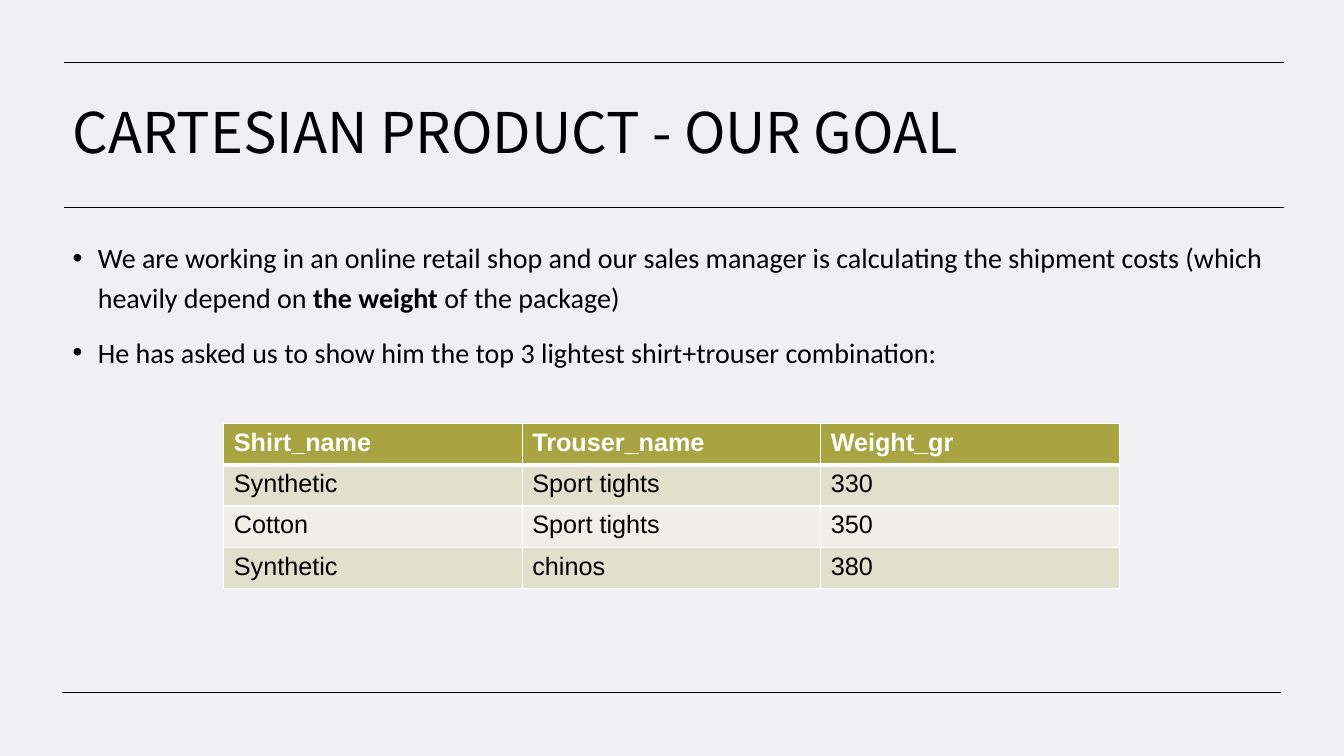
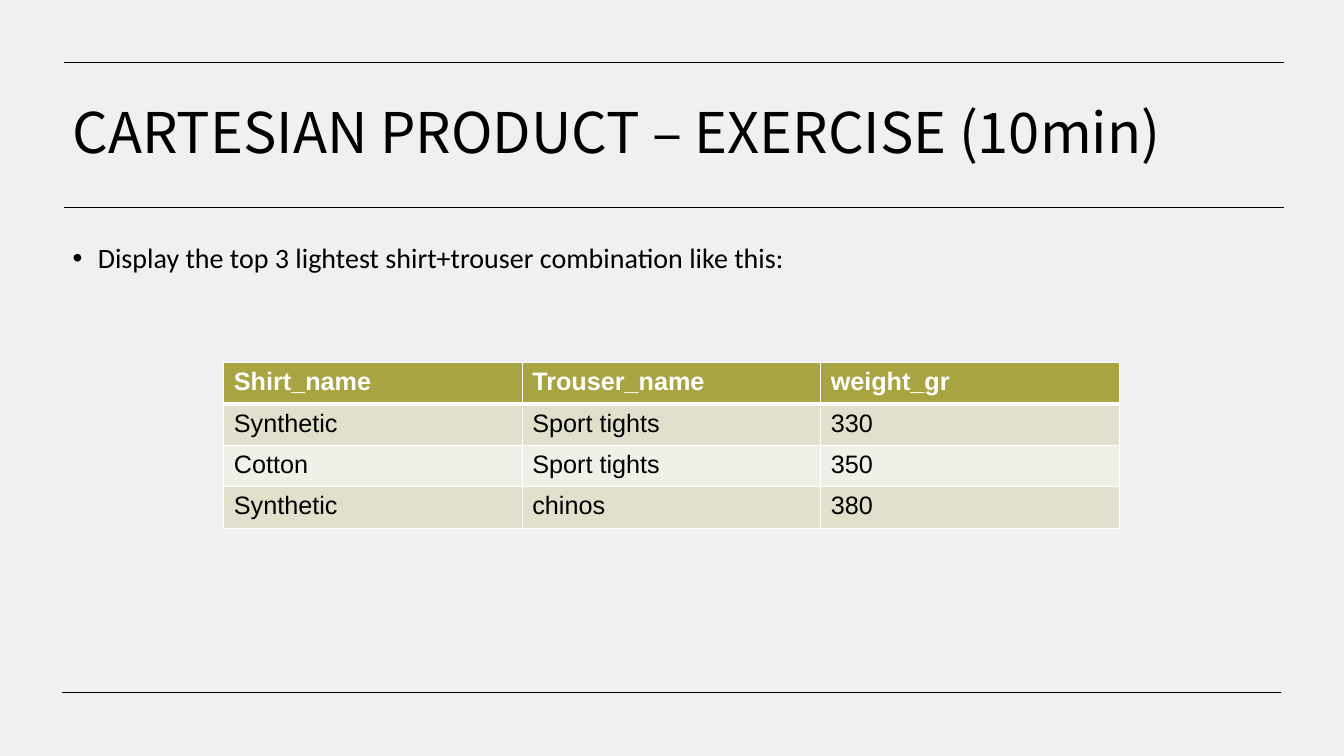
from lxml import etree
from pptx import Presentation
from pptx.dml.color import RGBColor
from pptx.enum.shapes import MSO_CONNECTOR
from pptx.enum.text import MSO_ANCHOR, MSO_AUTO_SIZE, PP_ALIGN
from pptx.oxml.ns import qn
from pptx.util import Inches, Pt

BACKGROUND = RGBColor(0xF0, 0xF0, 0xF3)
BLACK = RGBColor(0, 0, 0)
WHITE = RGBColor(0xFF, 0xFF, 0xFF)
OLIVE = RGBColor(0xA8, 0xA4, 0x42)
BAND_DARK = RGBColor(0xE1, 0xE0, 0xCD)
BAND_LIGHT = RGBColor(0xF1, 0xF0, 0xE8)

# Horizontal rules: left, right, y
RULES = [(0.62, 12.71, 6.87), (0.63, 12.73, 2.06), (0.63, 12.73, 0.62)]
COLUMN_WIDTH, ROW_HEIGHT = 2.96, 0.41

COMBINATIONS = [
    ["Synthetic", "Sport tights", "330"],
    ["Cotton", "Sport tights", "350"],
    ["Synthetic", "chinos", "380"],
]

# Each bullet is a list of (text, bold) runs
SLIDES = [
    {
        "title": "CARTESIAN PRODUCT - OUR GOAL",
        "bullets": [
            [("We are working in an online retail shop and our sales manager is "
              "calculating the shipment costs (which heavily depend on ", False),
             ("the weight ", True),
             ("of the package)", False)],
            [("He has asked us to show him the top 3 lightest shirt+trouser "
              "combination:", False)],
        ],
        "header": ["Shirt_name", "Trouser_name", "Weight_gr"],
        "table_top": 4.2,
    },
    {
        "title": "CARTESIAN PRODUCT – EXERCISE (10min)",
        "bullets": [
            [("Display the top 3 lightest shirt+trouser combination like this:", False)],
        ],
        "header": ["Shirt_name", "Trouser_name", "weight_gr"],
        "table_top": 3.6,
    },
]


def set_font(paragraph, name, size, color, bold=False):
    font = paragraph.font
    font.name, font.size, font.bold = name, Pt(size), bold
    font.color.rgb = color


def add_borders(cell, top, bottom):
    """Give a cell white borders; top and bottom are widths in points."""
    properties = cell._tc.get_or_add_tcPr()
    for side, width in (("L", 1), ("R", 1), ("T", top), ("B", bottom)):
        border = etree.SubElement(properties, qn(f"a:ln{side}"), w=str(Pt(width)))
        fill = etree.SubElement(border, qn("a:solidFill"))
        etree.SubElement(fill, qn("a:srgbClr"), val=str(WHITE))


prs = Presentation()
prs.slide_width, prs.slide_height = Inches(13.33), Inches(7.5)
master_fill = prs.slide_master.background.fill
master_fill.solid()
master_fill.fore_color.rgb = BACKGROUND

for content in SLIDES:
    slide = prs.slides.add_slide(prs.slide_layouts[1])

    for left, right, y in RULES:
        rule = slide.shapes.add_connector(
            MSO_CONNECTOR.STRAIGHT, Inches(right), Inches(y), Inches(left), Inches(y))
        rule.line.color.rgb = BLACK
        rule.line.width = Pt(0.75)
        etree.SubElement(rule._element.spPr, qn("a:effectLst"))

    title = slide.shapes.title
    title.left, title.top = Inches(0.62), Inches(0.75)
    title.width, title.height = Inches(12.08), Inches(1.19)
    title.text_frame.text = content["title"]
    title.text_frame.auto_size = MSO_AUTO_SIZE.NONE
    title.text_frame.vertical_anchor = MSO_ANCHOR.MIDDLE
    heading = title.text_frame.paragraphs[0]
    heading.alignment = PP_ALIGN.LEFT
    heading.line_spacing = 0.9
    set_font(heading, "Noto Sans CJK KR", 40, BLACK)

    body = slide.placeholders[1]
    body.left, body.top = Inches(0.62), Inches(2.27)
    body.width, body.height = Inches(12.1), Inches(4.28)
    body.text_frame.auto_size = MSO_AUTO_SIZE.NONE
    for index, runs in enumerate(content["bullets"]):
        bullet = body.text_frame.add_paragraph() if index else body.text_frame.paragraphs[0]
        indents = bullet._p.get_or_add_pPr()
        indents.set("marL", str(Inches(0.25)))
        indents.set("indent", str(Inches(-0.25)))
        bullet.line_spacing = 1.2
        bullet.space_before = Pt(10 if index else 0)
        set_font(bullet, "Calibri", 20, BLACK)
        for text, bold in runs:
            run = bullet.add_run()
            run.text = text
            if bold:
                run.font.bold = True

    rows = [content["header"]] + COMBINATIONS
    table = slide.shapes.add_table(
        len(rows), 3, Inches(2.22), Inches(content["table_top"]),
        Inches(3 * COLUMN_WIDTH), Inches(len(rows) * ROW_HEIGHT)).table
    for row_index, row in enumerate(rows):
        is_header = row_index == 0
        band = OLIVE if is_header else BAND_DARK if row_index % 2 else BAND_LIGHT
        for column_index, text in enumerate(row):
            cell = table.cell(row_index, column_index)
            cell.text = text
            add_borders(cell, top=3 if row_index == 1 else 1, bottom=3 if is_header else 1)
            cell.fill.solid()
            cell.fill.fore_color.rgb = band
            set_font(cell.text_frame.paragraphs[0], "Arial", 18,
                     WHITE if is_header else BLACK, is_header)

prs.save("out.pptx")
